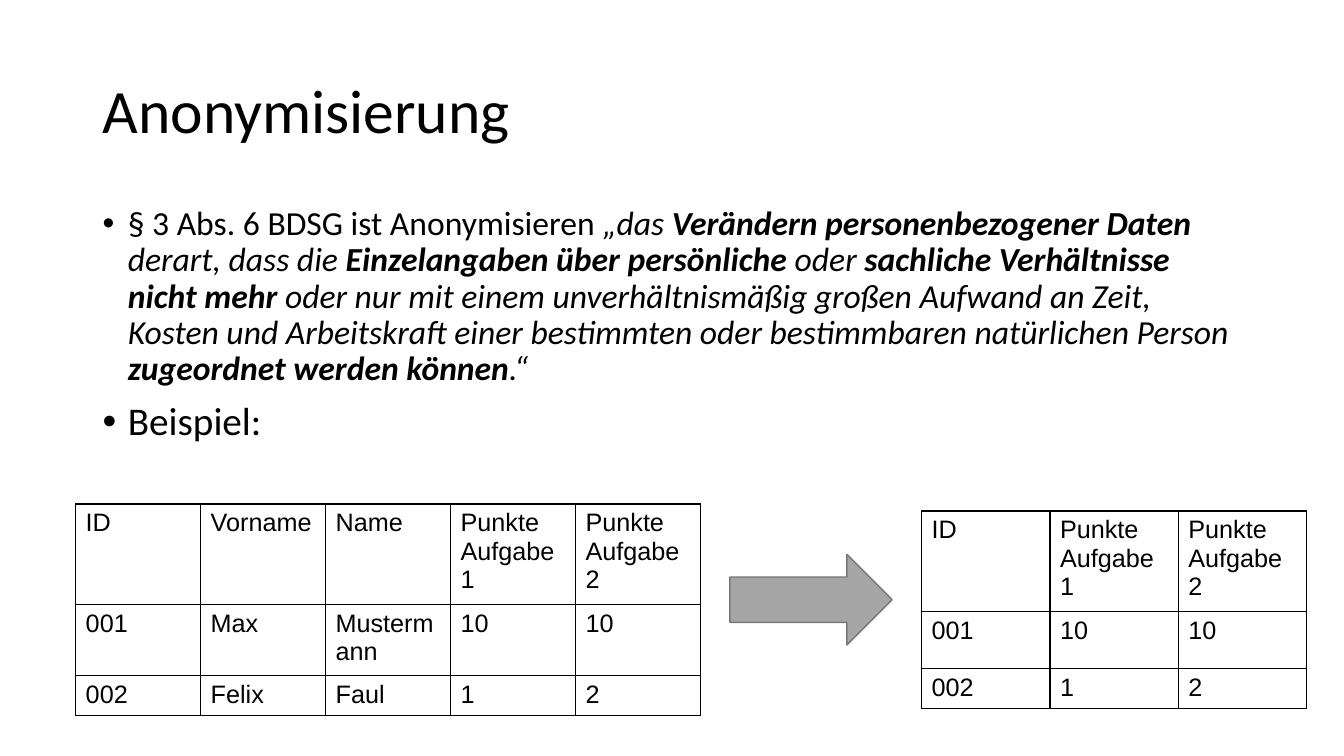
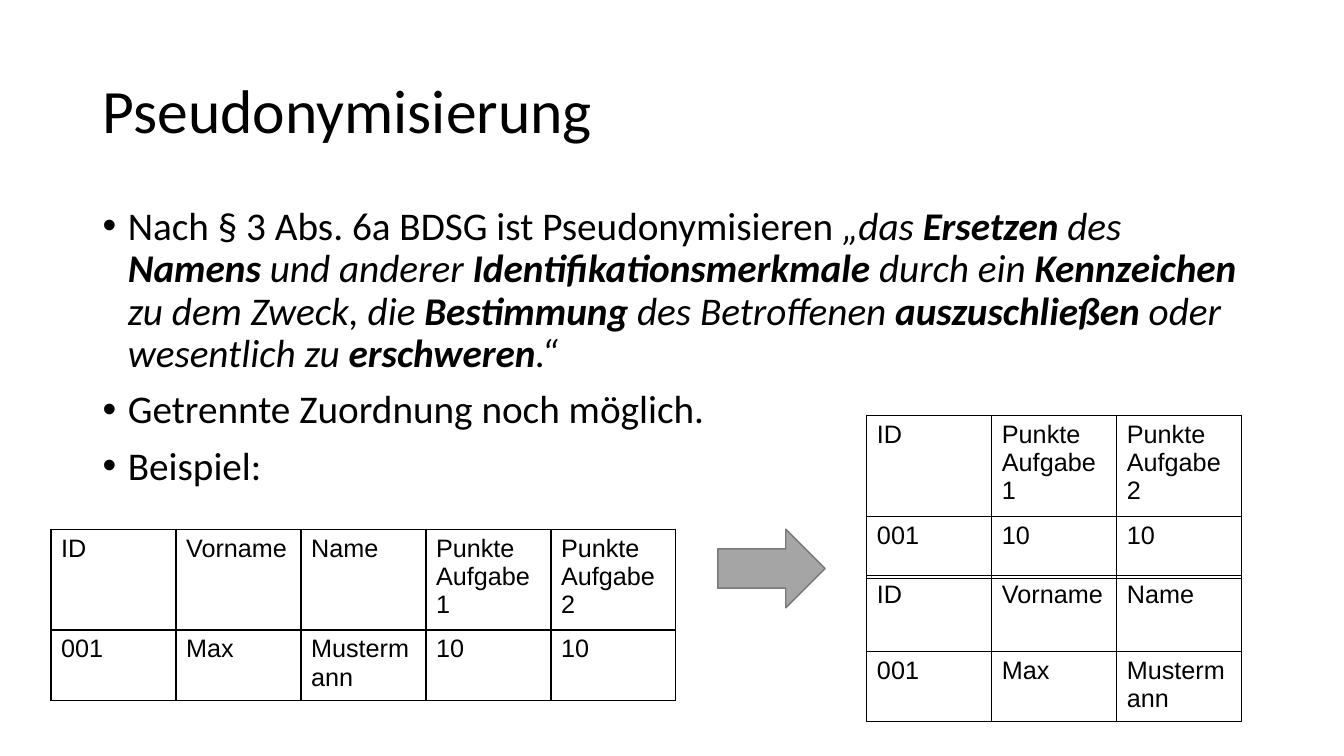
import pptx
import pptx.dml.color
import pptx.enum.shapes
import pptx.enum.text
import pptx.oxml
import pptx.oxml.ns
import pptx.util

BLACK = pptx.dml.color.RGBColor(0x00, 0x00, 0x00)
GREY = pptx.dml.color.RGBColor(0xA5, 0xA5, 0xA5)
DARK_GREY = pptx.dml.color.RGBColor(0x78, 0x78, 0x78)

WIDTH, HEIGHT = 13.33, 7.5
BODY_FONT, TABLE_FONT = "Calibri", "Arial"
TITLE_AREA = (6.9, 5.33, 86.25, 19.33)
BODY_AREA = (6.9, 26.67, 86.25, 63.47)
HEADER = ["ID", "Vorname", "Name", "Punkte Aufgabe 1", "Punkte Aufgabe 2"]
MAX = ["001", "Max", "Mustermann", "10", "10"]
FELIX = ["002", "Felix", "Faul", "1", "2"]
ALL_COLUMNS, NAME_COLUMNS, POINT_COLUMNS = range(5), [0, 1, 2], [0, 3, 4]
COLUMN = 9.3
ROWS = [10.8, 7.47, 4.27]
SPLIT_ROWS = [10, 8.27]


def across(share):
    return pptx.util.Inches(WIDTH * share / 100)


def down(share):
    return pptx.util.Inches(HEIGHT * share / 100)


def place(x, y, w, h):
    return across(x), down(y), across(w), down(h)


def xml(tag, body="", attrs=""):
    ns = pptx.oxml.ns.nsdecls("a")
    return pptx.oxml.parse_xml(f"<a:{tag} {ns} {attrs}>{body}</a:{tag}>")


def set_all(obj, values):
    for name, value in values.items():
        setattr(obj, name, value)


def add_run(p, text, size, font=BODY_FONT, **formats):
    r = p.add_run()
    r.text = text
    set_all(r.font, {"name": font, "size": pptx.util.Pt(size), **formats})
    r.font.color.rgb = BLACK


def add_text_area(slide, area, anchor):
    tf = slide.shapes.add_textbox(*place(*area)).text_frame
    set_all(tf, {"word_wrap": True, "vertical_anchor": anchor})
    return tf


def add_title(slide, text):
    tf = add_text_area(slide, TITLE_AREA, pptx.enum.text.MSO_ANCHOR.MIDDLE)
    p = tf.paragraphs[0]
    p.line_spacing = 0.9
    add_run(p, text, 44)


def add_bullets(slide, bullets):
    tf = add_text_area(slide, BODY_AREA, pptx.enum.text.MSO_ANCHOR.TOP)
    indent = pptx.util.Inches(0.25)
    for i, (lead, quote, size) in enumerate(bullets):
        p = tf.add_paragraph() if i else tf.paragraphs[0]
        set_all(p, {"line_spacing": 0.9,
                    "space_before": pptx.util.Pt(10 if i else 0)})
        pPr = p._p.get_or_add_pPr()
        pPr.set("marL", str(indent))
        pPr.set("indent", str(-indent))
        pPr.append(xml("buClr", f'<a:srgbClr val="{BLACK}"/>'))
        pPr.append(xml("buFont", attrs='typeface="Arial"'))
        pPr.append(xml("buChar", attrs='char="•"'))
        add_run(p, lead, size)
        for k, part in enumerate(quote.split("*")):
            if part:
                add_run(p, part, size, italic=True, bold=k % 2 == 1)


def add_borders(cell):
    tcPr = cell._tc.get_or_add_tcPr()
    line = f'<a:solidFill><a:srgbClr val="{BLACK}"/></a:solidFill>'
    for i, side in enumerate("LRTB"):
        tcPr.insert(i, xml(f"ln{side}", line, f'w="{pptx.util.Pt(1)}"'))


def add_table(slide, x, y, records, columns, heights, column=COLUMN):
    area = place(x, y, column * len(columns), sum(heights))
    table = slide.shapes.add_table(len(records), len(columns), *area).table
    set_all(table, {"first_row": False, "horz_banding": False})
    for col in table.columns:
        col.width = across(column)
    for row, height, record in zip(table.rows, heights, records):
        row.height = down(height)
        for cell, c in zip(row.cells, columns):
            cell.fill.background()
            add_borders(cell)
            add_run(cell.text_frame.paragraphs[0], record[c], 18, TABLE_FONT)


def add_arrow(slide, *area):
    sp = slide.shapes.add_shape(
        pptx.enum.shapes.MSO_SHAPE.RIGHT_ARROW, *place(*area))
    sp.shadow.inherit = False
    sp.fill.solid()
    sp.fill.fore_color.rgb = GREY
    sp.line.color.rgb = DARK_GREY
    sp.line.width = pptx.util.Pt(1)


def add_slide(prs, title, bullets):
    slide = prs.slides.add_slide(prs.slide_layouts[6])
    add_title(slide, title)
    add_bullets(slide, bullets)
    return slide


def add_anonymisation(prs):
    slide = add_slide(prs, "Anonymisierung", [
        ("§ 3 Abs. 6 BDSG ist Anonymisieren ",
         "„das *Verändern personenbezogener Daten *derart, dass die "
         "*Einzelangaben über persönliche *oder *sachliche Verhältnisse "
         "nicht mehr *oder nur mit einem unverhältnismäßig großen Aufwand "
         "an Zeit, Kosten und Arbeitskraft einer bestimmten oder "
         "bestimmbaren natürlichen Person *zugeordnet werden können*.“", 24),
        ("Beispiel:", "", 28),
    ])
    records = [HEADER, MAX, FELIX]
    add_table(slide, 5.63, 66.67, records, ALL_COLUMNS, ROWS)
    add_table(slide, 68.57, 67.6, records, POINT_COLUMNS, ROWS, 9.55)
    add_arrow(slide, 54.31, 73.33, 12.08, 12)


def add_pseudonymisation(prs):
    slide = add_slide(prs, "Pseudonymisierung", [
        ("Nach § 3 Abs. 6a BDSG ist Pseudonymisieren",
         " „das *Ersetzen* des *Namens* und anderer "
         "*Identifikationsmerkmale* durch ein *Kennzeichen *zu dem Zweck, "
         "die *Bestimmung* des Betroffenen *auszuschließen* oder "
         "wesentlich zu *erschweren*.“", 28),
        ("Getrennte Zuordnung noch möglich.", "", 28),
        ("Beispiel:", "", 28),
    ])
    records = [HEADER, MAX]
    add_table(slide, 3.8, 70, records, ALL_COLUMNS, ROWS[:2])
    for y, columns in ((54.93, POINT_COLUMNS), (76.13, NAME_COLUMNS)):
        add_table(slide, 64.5, y, records, columns, SPLIT_ROWS)
    add_arrow(slide, 53.41, 70, 7.98, 10.4)


def main():
    prs = pptx.Presentation()
    set_all(prs, {"slide_width": pptx.util.Inches(WIDTH),
                  "slide_height": pptx.util.Inches(HEIGHT)})
    add_anonymisation(prs)
    add_pseudonymisation(prs)
    prs.save("out.pptx")


if __name__ == "__main__":
    main()
